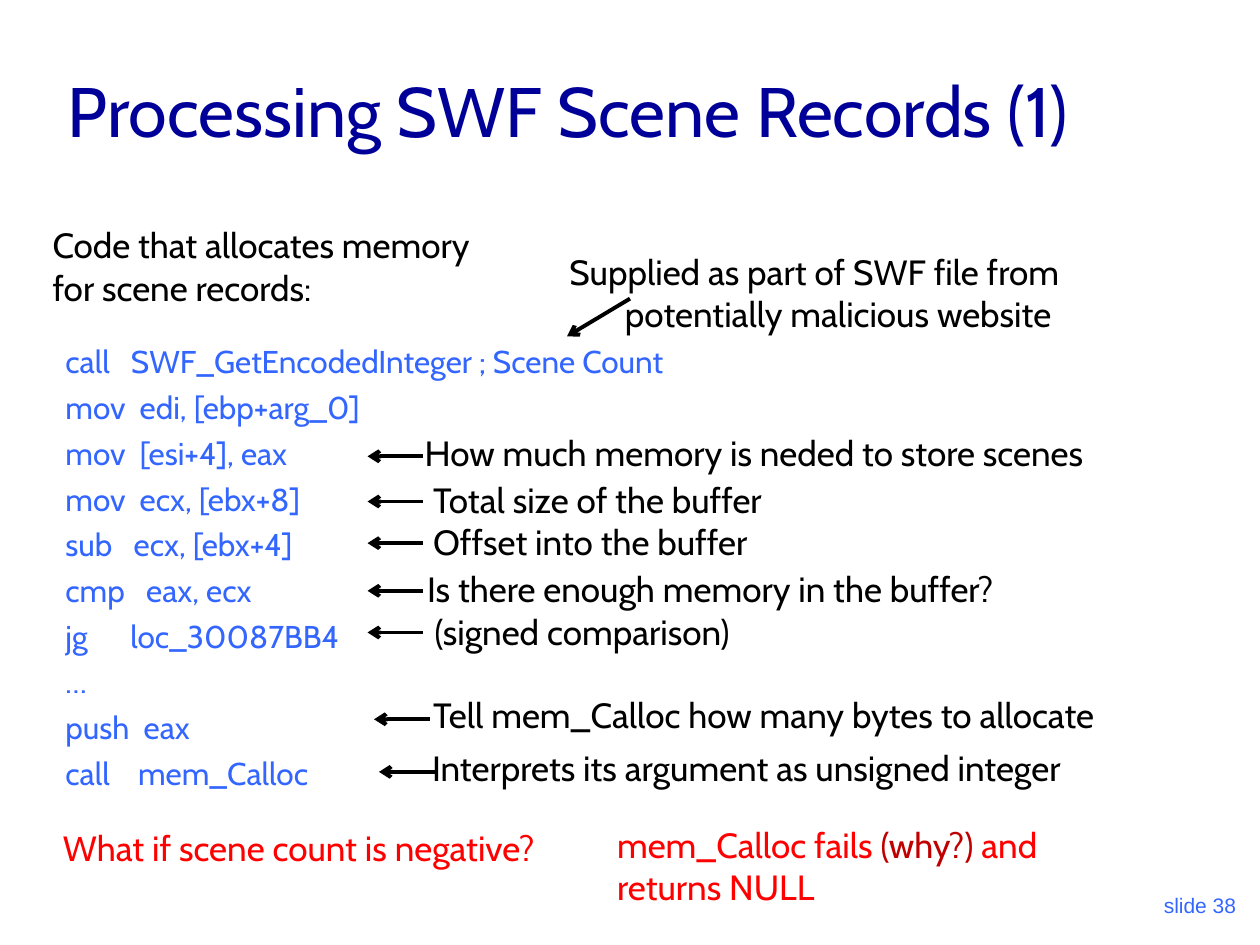
from lxml import etree
from pptx import Presentation, util as u
from pptx.dml.color import RGBColor
from pptx.enum import shapes, text
from pptx.oxml.ns import qn

BLACK, BLUE, NAVY, RED, DARK = "000000", "3366FF", "000099", "FF0000", "C00000"

# Formats
NOTE = {"size": 20, "hue": BLACK, "line_spacing": 0.8, "space_before": u.Pt(5)}
WARN = {**NOTE, "hue": RED}
CODE = {"size": 18, "hue": BLUE, "space_before": u.Pt(4.5)}
HEAD = {"size": 40, "hue": NAVY}
FOOT = {"size": 12, "hue": BLUE, "font": "Arial", "alignment": text.PP_ALIGN.RIGHT}

# Content; places in cm: left, top, width, height
code = [
    "call   SWF_GetEncodedInteger ; Scene Count",
    "mov  edi, [ebp+arg_0]",
    "mov  [esi+4], eax",
    "mov  ecx, [ebx+8]",
    "sub   ecx, [ebx+4]",
    "cmp   eax, ecx",
    "jg      loc_30087BB4",
    "…",
    "push  eax",
    "call    mem_Calloc",
]
fixed = [
    ((1.12, 0.64, 22.66, 2.54), HEAD, ["Processing SWF Scene Records (1)"]),
    ((19.89, 17.35, 5.28, 1.27), FOOT, ["slide 38"]),
]
free = [
    ((1.07, 6.78, 13.59, 9.32), CODE, code),
    ((0.81, 4.55, 9.83, 1.8), NOTE,
     ["Code that allocates memory", "for scene records:"]),
    ((1.02, 16.71, 11.1, 0.94), WARN, ["What if scene count is negative?"]),
    ((12.19, 16.64, 9.93, 1.8), WARN,
     [[("mem_Calloc fails ", RED), ("(why?) ", DARK), ("and", RED)],
      "returns NULL"]),
]
origin = ((11.23, 5.08, 11.51, 1.8), NOTE,
          ["Supplied as part of SWF file from", "potentially malicious website"])
# Remarks: left, top, width, arrow start, arrow height, words
notes = [
    (8.31, 8.74, 15.24, 8.53, 9.2, "How much memory is neded to store scenes"),
    (8.48, 9.68, 7.95, 8.53, 10.11, "Total size of the buffer"),
    (8.48, 10.54, 7.52, 8.53, 10.95, "Offset into the buffer"),
    (8.36, 11.48, 13.41, 8.53, 11.91, "Is there enough memory in the buffer?"),
    (8.51, 12.34, 7.26, 8.53, 12.75, "(signed comparison)"),
    (8.48, 14.02, 15.09, 8.66, 14.5, "Tell mem_Calloc how many bytes to allocate"),
    (8.46, 15.09, 15.09, 8.76, 15.56, "Interprets its argument as unsigned integer"),
]
REACH = 1.12

deck = Presentation()
deck.slide_width, deck.slide_height = u.Cm(25.4), u.Cm(19.05)
slide = deck.slides.add_slide(deck.slide_layouts[6])


def color(hue):
    return RGBColor.from_string(hue)


def put(place, form, lines, grow=True):
    box = slide.shapes.add_textbox(*map(u.Cm, place))
    frame = box.text_frame
    frame.word_wrap = not grow
    if grow:
        frame.auto_size = text.MSO_AUTO_SIZE.SHAPE_TO_FIT_TEXT
    else:
        frame.vertical_anchor = text.MSO_ANCHOR.BOTTOM
    for i, line in enumerate(lines):
        para = frame.paragraphs[0] if i == 0 else frame.add_paragraph()
        for key in ("line_spacing", "space_before", "alignment"):
            if key in form and (i or key != "space_before"):
                setattr(para, key, form[key])
        for words, hue in [(line, form["hue"])] if isinstance(line, str) else line:
            run = para.add_run()
            run.text = words
            font = run.font
            font.name, font.size = form.get("font", "Cabin"), u.Pt(form["size"])
            font.color.rgb = color(hue)
    return frame


def arrow(*ends):
    link = slide.shapes.add_connector(shapes.MSO_CONNECTOR.STRAIGHT, *map(u.Cm, ends))
    link.line.width = u.Pt(2.25)
    link.line.color.rgb = color(BLACK)
    etree.SubElement(link.line._get_or_add_ln(), qn("a:tailEnd"), type="arrow")
    etree.SubElement(link._element.spPr, qn("a:effectLst"))


# Title and slide number
for item in fixed:
    put(*item, grow=False)

# Code, introduction and warnings
for item in free:
    put(*item)

# Remarks with arrows to the code
for left, top, wide, start, y, words in notes:
    put((left, top, wide, 0.94), NOTE, [words])
    arrow(start, y, start - REACH, y)

# Where the scene count comes from
frame = put(*origin)
frame.paragraphs[1]._p.get_or_add_pPr().set("marL", str(u.Cm(1.12)))
arrow(12.7, 6.02, 11.43, 6.78)

deck.save("out.pptx")
